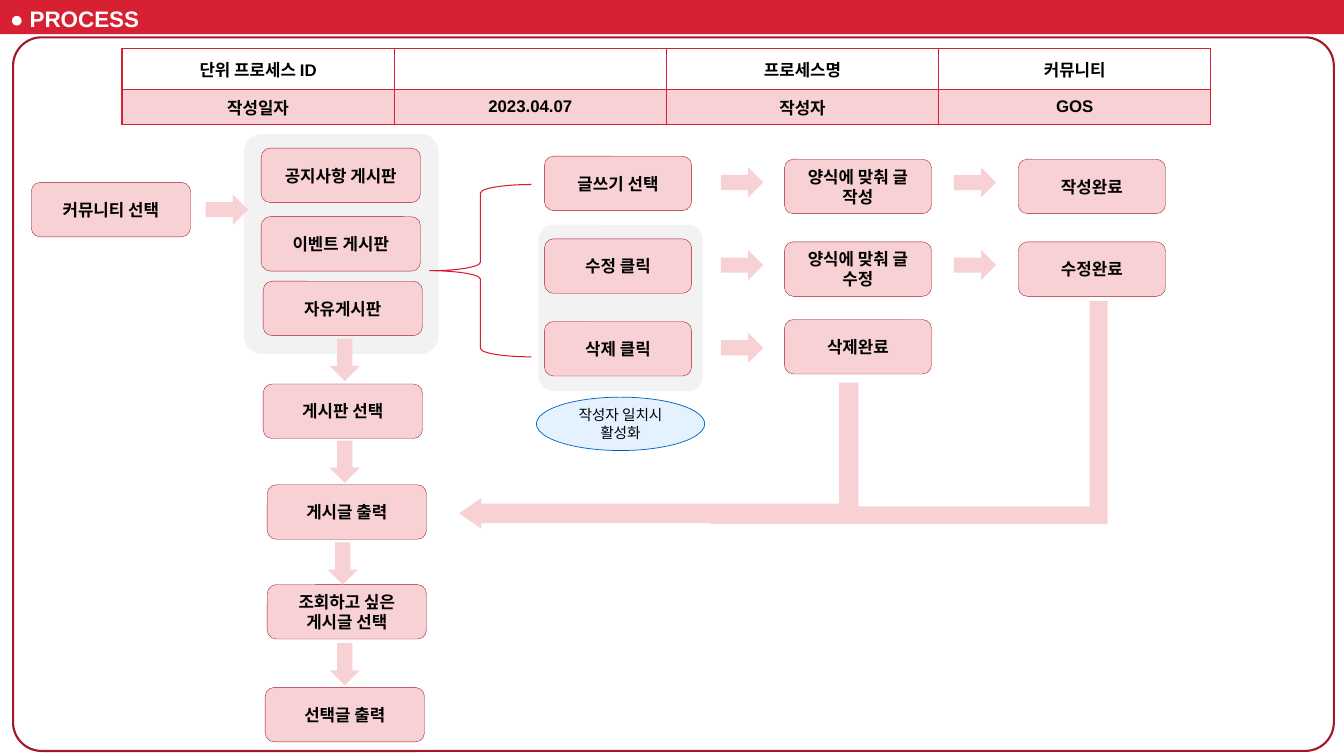
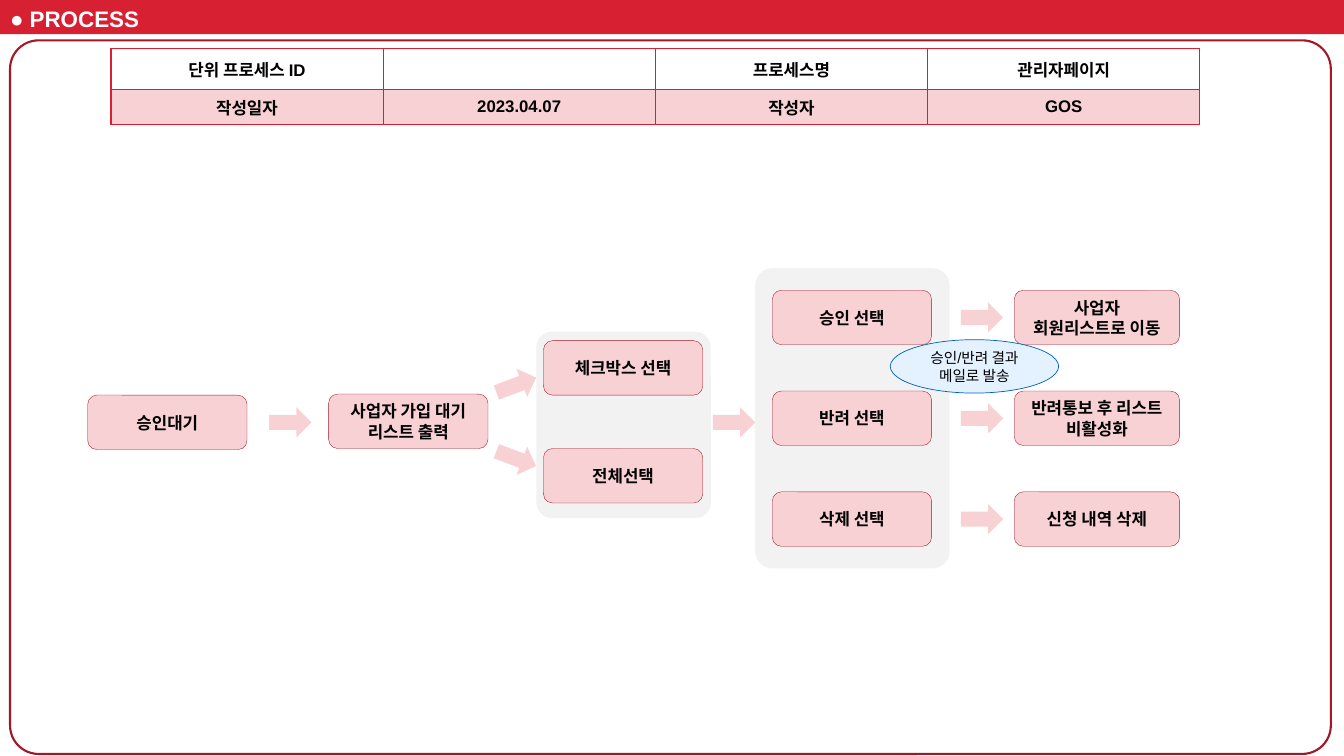
from lxml.etree import SubElement
from pptx import Presentation
from pptx.dml.color import RGBColor
from pptx.enum.shapes import MSO_SHAPE as Shape
from pptx.enum.text import MSO_ANCHOR as Anchor, MSO_AUTO_SIZE as AutoSize, PP_ALIGN as Align
from pptx.oxml.ns import qn
from pptx.util import Inches, Pt

RED = RGBColor(0xD8, 0x20, 0x33)
FRAME_RED = RGBColor(0xA2, 0x18, 0x26)
STEP_RED = RGBColor(0xA0, 0x18, 0x26)
BRACE_RED = RGBColor(0xD8, 0x1B, 0x2E)
PINK = RGBColor(0xF8, 0xD1, 0xD5)
GRAY = RGBColor(0xF2, 0xF2, 0xF2)
PALE_BLUE = RGBColor(0xE4, 0xF2, 0xFF)
BLUE = RGBColor(0x01, 0x5F, 0xBB)
WHITE = RGBColor(0xFF, 0xFF, 0xFF)
BLACK = RGBColor(0, 0, 0)

TITLE_FONT = {"name": "Arial", "size": Pt(16), "bold": True}
STEP_FONT = {"name": "Arial", "size": Pt(12), "bold": True}
NOTE_FONT = {"name": "Arial", "size": Pt(10.5), "bold": False}

BAND = {"kind": Shape.RECTANGLE, "fill": RED}
FRAME = {"kind": Shape.ROUNDED_RECTANGLE, "line": FRAME_RED, "weight": 1.5, "adjust": [0.04]}
PANEL = {"kind": Shape.ROUNDED_RECTANGLE, "fill": GRAY, "adjust": [0.09]}
STEP = {"kind": Shape.ROUNDED_RECTANGLE, "fill": PINK, "line": STEP_RED, "weight": 0.25, "font": STEP_FONT}
NOTE = {"kind": Shape.OVAL, "fill": PALE_BLUE, "line": BLUE, "weight": 0.5, "font": NOTE_FONT}
ARROW = {"kind": Shape.DOWN_ARROW, "fill": PINK}
BRACE = {"kind": Shape.RIGHT_BRACE, "line": BRACE_RED, "weight": 0.75}
RETURN = {"kind": Shape.BENT_UP_ARROW, "fill": PINK}

STEP_W, STEP_H = 1.58, 0.54
ACTION_W, RESULT_W = 1.46, 1.64
ARROW_W, ARROW_H = 0.3, 0.42
NOTE_W, NOTE_H = 1.67, 0.53
RIGHT = 270


def write(frame, text, font_values, color, align):
    frame.text = text
    for paragraph in frame.paragraphs:
        paragraph.alignment = align
        for run in paragraph.runs:
            for name, value in font_values.items():
                setattr(run.font, name, value)
            run.font.color.rgb = color


def draw(shapes, style, left, top, width, height, text="", rotation=0, adjust=()):
    part = shapes.add_shape(style["kind"], Inches(left), Inches(top), Inches(width), Inches(height))
    part.shadow.inherit = False
    part.rotation = rotation
    if "fill" in style:
        part.fill.solid()
        part.fill.fore_color.rgb = style["fill"]
    else:
        part.fill.background()
    if "line" in style:
        part.line.color.rgb = style["line"]
        part.line.width = Pt(style["weight"])
    else:
        part.line.fill.background()
    for index, value in enumerate(adjust or style.get("adjust", ())):
        part.adjustments[index] = value
    if text:
        part.text_frame.word_wrap = True
        part.text_frame.vertical_anchor = Anchor.MIDDLE
        write(part.text_frame, text, style["font"], BLACK, Align.CENTER)
    return part


deck = Presentation()
deck.slide_width = Inches(13.33)
deck.slide_height = Inches(7.5)
title_only = deck.slide_layouts[5]
community = deck.slides.add_slide(title_only)
admin = deck.slides.add_slide(title_only)

band = draw(community.shapes, BAND, 0, 0, 13.33, 0.34).element
band.nvSpPr.cNvPr.set("id", "100")
deck.slide_master.shapes.element.insert(2, band)

for slide, process, table_left, frame_left, frame_top in [
    (community, "커뮤니티", 1.21, 0.13, 0.37),
    (admin, "관리자페이지", 1.1, 0.1, 0.4),
]:
    title = slide.shapes.title
    title_box = {"left": 0, "top": 0, "width": Inches(1.49), "height": Inches(0.37)}
    for name, value in title_box.items():
        setattr(title, name, value)
    title_layout = {"word_wrap": False, "auto_size": AutoSize.NONE, "vertical_anchor": Anchor.MIDDLE}
    for name, value in title_layout.items():
        setattr(title.text_frame, name, value)
    write(title.text_frame, "● PROCESS", TITLE_FONT, WHITE, Align.LEFT)

    summary = slide.shapes.add_table(
        2, 4, Inches(table_left), Inches(0.48), Inches(10.8), Inches(0.7)
    ).table
    rows = [
        (["단위 프로세스 ID", "", "프로세스명", process], WHITE),
        (["작성일자", "2023.04.07", "작성자", "GOS"], PINK),
    ]
    for row, (labels, fill) in enumerate(rows):
        for column, label in enumerate(labels):
            cell = summary.cell(row, column)
            cell.vertical_anchor = Anchor.MIDDLE
            write(cell.text_frame, label, STEP_FONT, BLACK, Align.CENTER)
            properties = cell._tc.get_or_add_tcPr()
            for side in ("a:lnL", "a:lnR", "a:lnT", "a:lnB"):
                border = SubElement(properties, qn(side), w=str(Pt(1)))
                paint = SubElement(border, qn("a:solidFill"))
                SubElement(paint, qn("a:srgbClr"), val=str(RED))
            cell.fill.solid()
            cell.fill.fore_color.rgb = fill

    draw(slide.shapes, FRAME, frame_left, frame_top, 13.1, 7.08)

flow = community.shapes
draw(flow, PANEL, 5.34, 2.23, 1.63, 1.65)
boards = flow.add_group_shape().shapes
draw(boards, PANEL, 2.42, 1.33, 1.93, 2.18)
for label, left, top in [
    ("공지사항 게시판", 2.59, 1.47),
    ("이벤트 게시판", 2.59, 2.15),
    ("자유게시판", 2.61, 2.79),
]:
    draw(boards, STEP, left, top, STEP_W, STEP_H, label)

for label, left, top in [
    ("커뮤니티 선택", 0.31, 1.81),
    ("게시판 선택", 2.61, 3.81),
    ("게시글 출력", 2.65, 4.81),
    ("조회하고 싶은 게시글 선택", 2.65, 5.8),
    ("선택글 출력", 2.63, 6.82),
]:
    draw(flow, STEP, left, top, STEP_W, STEP_H, label)
for left, top in [(3.27, 3.36), (3.27, 4.37), (3.25, 5.38), (3.27, 6.38)]:
    draw(flow, ARROW, left, top, ARROW_W, ARROW_H)
draw(flow, ARROW, 2.1, 1.87, ARROW_W, ARROW_H, rotation=RIGHT)
draw(flow, BRACE, 4.26, 1.83, 1.01, 1.71, rotation=180)

action_lefts = [5.4, 7.78, 10.1]
action_arrow_lefts = [7.21, 9.52]
for row, (labels, result_top) in enumerate([
    (["글쓰기 선택", "양식에 맞춰 글 작성", "작성완료"], 1.58),
    (["수정 클릭", "양식에 맞춰 글 수정", "수정완료"], 2.4),
    (["삭제 클릭", "삭제완료"], 3.17),
]):
    action_top = 1.55 + 0.82 * row
    for column, label in enumerate(labels):
        top = result_top if column else action_top
        draw(flow, STEP, action_lefts[column], top, ACTION_W, STEP_H, label)
    for left in action_arrow_lefts[:len(labels) - 1]:
        draw(flow, ARROW, left, action_top + 0.05, ARROW_W, ARROW_H, rotation=RIGHT)
draw(flow, NOTE, 5.32, 3.94, NOTE_W, NOTE_H, "작성자 일치시 활성화")

for left, top, width, adjust in [
    (5.81, 2.54, 1.45, (0.133, 0.105, 0.151)),
    (7.91, 2.1, 2.19, (0.081, 0.029, 0.013)),
]:
    back = draw(flow, RETURN, left, top, width, 3.96, rotation=RIGHT, adjust=adjust)
    back.element.spPr.xfrm.set("flipH", "1")

flow = admin.shapes
draw(flow, PANEL, 5.32, 3.29, 1.73, 1.85)
for label, left, top in [
    ("승인대기", 0.87, 3.92),
    ("사업자 가입 대기 리스트 출력", 3.26, 3.91),
    ("체크박스 선택", 5.39, 3.38),
    ("전체선택", 5.39, 4.45),
]:
    draw(flow, STEP, left, top, STEP_W, STEP_H, label)
for left, top, rotation in [
    (2.73, 3.98, RIGHT),
    (4.97, 3.61, RIGHT - 20.6),
    (4.97, 4.34, RIGHT + 20.6),
    (7.13, 3.98, RIGHT),
]:
    draw(flow, ARROW, left, top, ARROW_W, ARROW_H, rotation=rotation)

decisions = flow.add_group_shape().shapes
draw(decisions, PANEL, 7.49, 2.66, 1.93, 2.98)
for row, (decision, result) in enumerate([
    ("승인 선택", "사업자 회원리스트로 이동"),
    ("반려 선택", "반려통보 후 리스트 비활성화"),
    ("삭제 선택", "신청 내역 삭제"),
]):
    top = 2.88 + row
    draw(decisions, STEP, 7.66, top, STEP_W, STEP_H, decision)
    draw(flow, ARROW, 9.59, top + 0.06, ARROW_W, ARROW_H, rotation=RIGHT)
    draw(flow, STEP, 10.06, top, RESULT_W, STEP_H, result)
draw(flow, NOTE, 8.83, 3.37, NOTE_W, NOTE_H, "승인/반려 결과\n메일로 발송")

deck.save("out.pptx")
